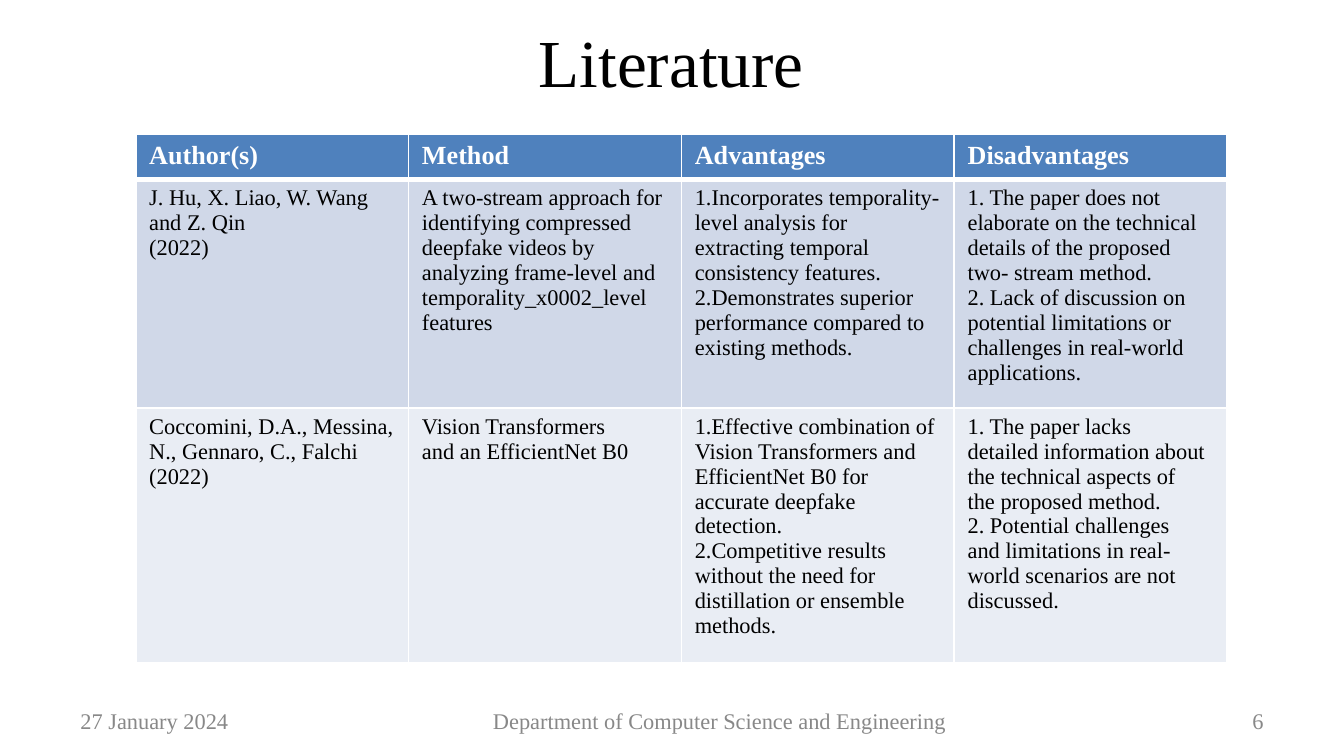
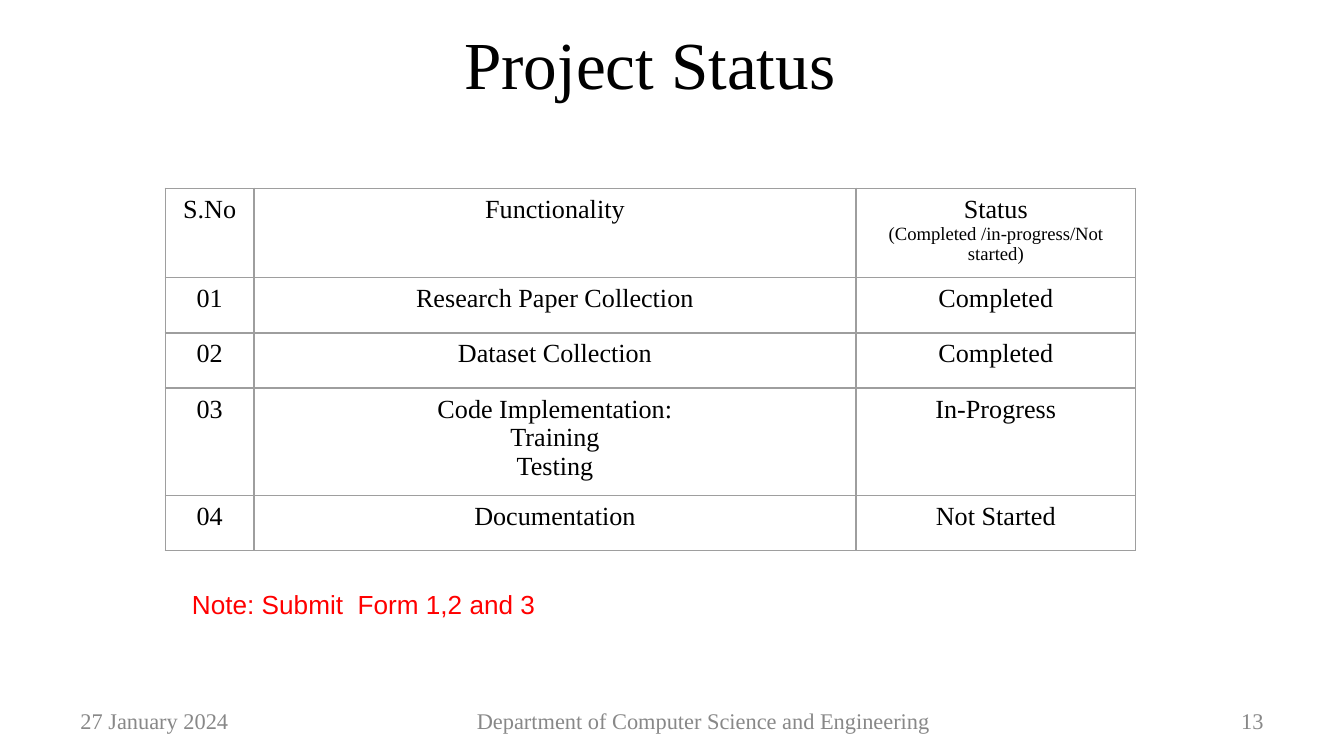
from copy import deepcopy

from lxml import etree
from pptx import Presentation
from pptx import util as u
from pptx.dml.color import RGBColor
from pptx.enum import text
from pptx.oxml import ns

SCALE = 4572
SERIF = "Times New Roman"
BLACK, WHITE, GREY, RED = "000000", "FFFFFF", "888888", "FF0000"
HEADER, BAND, PALE, RULE = "4F81BD", "D0D8E8", "E9EDF4", "9E9E9E"
LEFT, CENTER, RIGHT = text.PP_ALIGN.LEFT, text.PP_ALIGN.CENTER, text.PP_ALIGN.RIGHT
MIDDLE, TOP = text.MSO_ANCHOR.MIDDLE, text.MSO_ANCHOR.TOP

LITERATURE = [
    ["Author(s)", "Method", "Advantages", "Disadvantages"],
    [
        "J. Hu, X. Liao, W. Wang and Z. Qin\n(2022)",
        "A two-stream approach for\nidentifying compressed\ndeepfake videos by\n"
        "analyzing frame-level and temporality_x0002_level features",
        "1.Incorporates temporality-level analysis for extracting temporal "
        "consistency features.\n"
        "2.Demonstrates superior performance compared to existing methods.",
        "1. The paper does not\nelaborate on the technical\n"
        "details of the proposed two- stream method.\n"
        "2. Lack of discussion on\npotential limitations or\n"
        "challenges in real-world\napplications.",
    ],
    [
        "Coccomini, D.A., Messina, N., Gennaro, C., Falchi\n(2022)",
        "Vision Transformers\nand an EfficientNet B0",
        "1.Effective combination of Vision Transformers and\n"
        "EfficientNet B0 for accurate deepfake\ndetection.\n"
        "2.Competitive results\nwithout the need for\n"
        "distillation or ensemble\nmethods.",
        "1. The paper lacks\ndetailed information about\n"
        "the technical aspects of\nthe proposed method.\n"
        "2. Potential challenges\n"
        "and limitations in real- world scenarios are not\ndiscussed.",
    ],
]

STATUS = [
    ["S.No", "Functionality", "Status\n(Completed /in-progress/Not started)"],
    ["01", "Research Paper Collection", "Completed"],
    ["02", "Dataset Collection", "Completed"],
    ["03", "Code Implementation:\nTraining\nTesting", "In-Progress"],
    ["04", "Documentation", "Not Started"],
]


def px(length):
    """Turn a length in px, 200 to the inch, into EMU."""
    return u.Emu(length * SCALE)


def rgb(color):
    """Turn a hex string into a colour."""
    return RGBColor.from_string(color)


def format_run(paragraph, run, size, color, font, bold):
    """Format a run for all scripts, and the paragraph's end to match."""
    run.font.name = font
    run.font.size = u.Pt(size)
    run.font.bold = bold
    run.font.color.rgb = rgb(color)
    properties = run._r.get_or_add_rPr()
    for script in ("ea", "cs"):
        etree.SubElement(properties, ns.qn(f"a:{script}"), typeface=font)
    end = etree.SubElement(paragraph._p, ns.qn("a:endParaRPr"), dict(properties.attrib))
    end.extend(deepcopy(child) for child in properties)


def write(text_frame, words, size, color, align=LEFT, font=SERIF, bold=False, last_size=None):
    """Fill a text frame, with another size for the last paragraph if given."""
    text_frame.text = words
    paragraphs = text_frame.paragraphs
    sizes = [size] * (len(paragraphs) - 1) + [last_size or size]
    for paragraph, points in zip(paragraphs, sizes):
        paragraph.alignment = align
        format_run(paragraph, paragraph.runs[0], points, color, font, bold)


def add_text(slide, box, words, size, color, align=LEFT, font=SERIF, anchor=MIDDLE):
    """Add a wrapped text box."""
    text_frame = slide.shapes.add_textbox(*map(px, box)).text_frame
    text_frame.word_wrap = True
    text_frame.vertical_anchor = anchor
    write(text_frame, words, size, color, align, font)


def set_borders(cell, color, width, bottom):
    """Draw the four borders of a table cell."""
    properties = cell._tc.get_or_add_tcPr()
    for side, points in zip("LRTB", (width, width, width, bottom)):
        line = etree.SubElement(properties, ns.qn(f"a:ln{side}"), w=str(u.Pt(points)))
        fill = etree.SubElement(line, ns.qn("a:solidFill"))
        etree.SubElement(fill, ns.qn("a:srgbClr"), val=color)


def add_table(slide, left, top, widths, heights):
    """Add an unbanded table and return it with its texts still to be set."""
    shape = slide.shapes.add_table(
        len(heights), len(widths), px(left), px(top), px(sum(widths)), px(sum(heights))
    )
    table = shape.table
    table.horz_banding = False
    for column, width in zip(table.columns, widths):
        column.width = px(width)
    for row, height in zip(table.rows, heights):
        row.height = px(height)
    return table


def literature_table(slide, left, top, width):
    """Add the filled table of papers."""
    columns = len(LITERATURE[0])
    table = add_table(slide, left, top, [width // columns] * columns, [66, 322, 318])
    styles = [(14, WHITE, True, HEADER, 3), (12, BLACK, False, BAND, 1), (12, BLACK, False, PALE, 1)]
    for row, values, style in zip(table.rows, LITERATURE, styles):
        size, color, bold, fill, bottom = style
        for cell, words in zip(row.cells, values):
            write(cell.text_frame, words, size, color, bold=bold)
            set_borders(cell, WHITE, 1, bottom)
            cell.fill.solid()
            cell.fill.fore_color.rgb = rgb(fill)


def status_table(slide, left, top, widths):
    """Add the ruled table of project tasks."""
    table = add_table(slide, left, top, widths, [82] * len(STATUS))
    for row, values in zip(table.rows, STATUS):
        for cell, words in zip(row.cells, values):
            last_size = 10 if words.startswith("Status") else 14
            write(cell.text_frame, words, 14, BLACK, CENTER, last_size=last_size)
            set_borders(cell, RULE, 0.75, 0.75)
            cell.fill.background()


def add_frame(presentation, title, title_box, number, department_width):
    """Add a blank slide with its title and footer."""
    slide = presentation.slides.add_slide(presentation.slide_layouts[6])
    add_text(slide, title_box, title, 36, BLACK, CENTER)
    footer = [
        (100, 467, "27 January 2024", LEFT),
        (683, department_width, "Department of Computer Science and Engineering", CENTER),
        (1433, 467, number, RIGHT),
    ]
    for left, width, words, align in footer:
        add_text(slide, (left, 1043, width, 60), words, 12, GREY, align)
    return slide


def literature_slide(presentation):
    """Build the literature slide."""
    slide = add_frame(presentation, "Literature", (484, 21, 1030, 138), "6", 776)
    literature_table(slide, 202, 200, 1626)


def status_slide(presentation):
    """Build the project status slide."""
    slide = add_frame(presentation, "Project Status", (298, 24, 1338, 138), "13", 728)
    status_table(slide, 246, 280, [132, 896, 416])
    add_text(slide, (266, 866, 660, 68), "Note: Submit  Form 1,2 and 3", 14, RED,
             font="Arial", anchor=TOP)


def main():
    """Build and save the presentation."""
    presentation = Presentation()
    presentation.slide_width, presentation.slide_height = px(2000), px(1125)
    literature_slide(presentation)
    status_slide(presentation)
    presentation.save("out.pptx")


if __name__ == "__main__":
    main()
